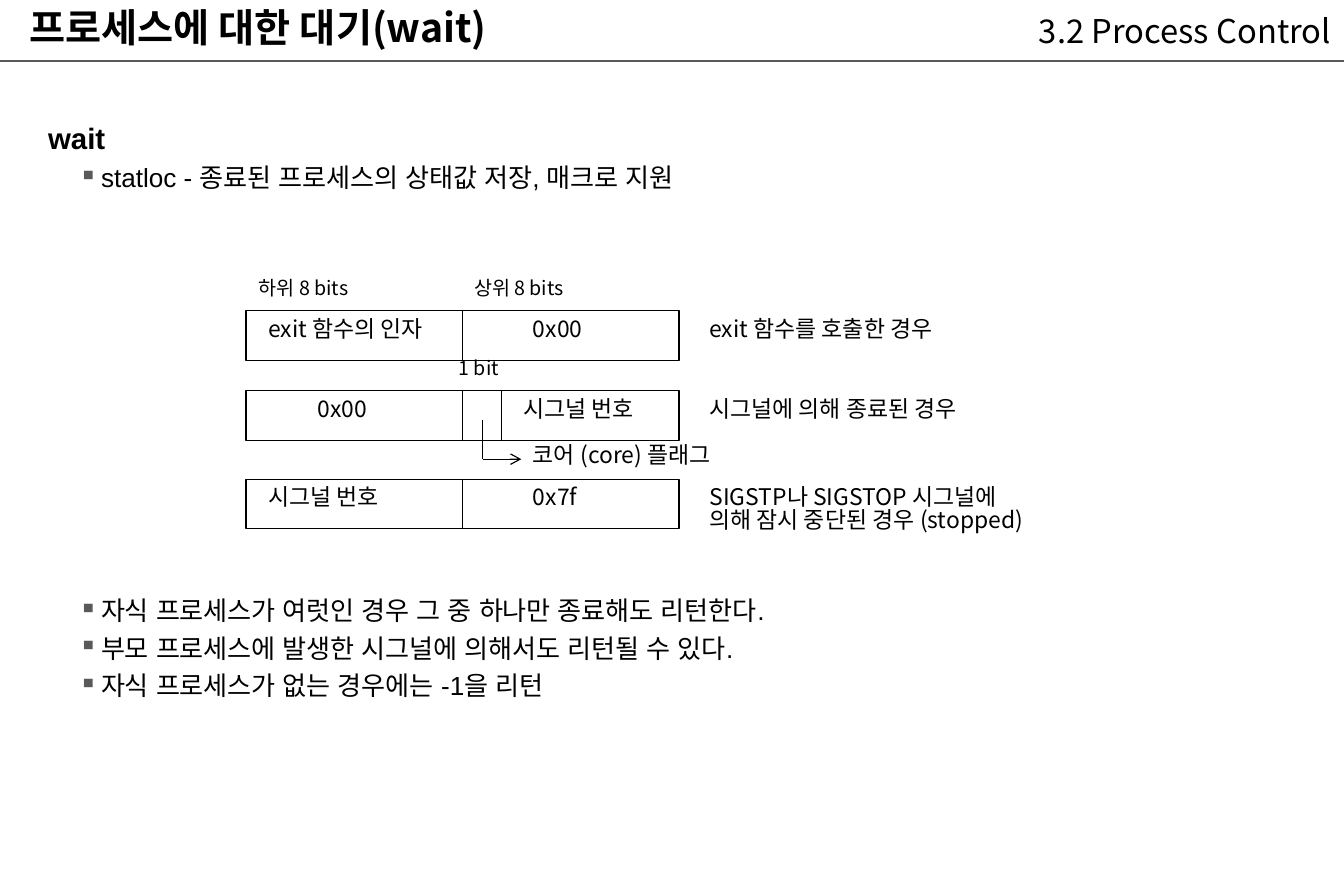
import pptx
import pptx.dml.color
import pptx.enum.shapes
import pptx.enum.text
import pptx.oxml
import pptx.oxml.ns
import pptx.util
from dataclasses import dataclass

PX = 9144  # EMU per px, 100 px to the inch
ALIGN = pptx.enum.text.PP_ALIGN


@dataclass(frozen=True)
class Theme:
    ink: str = "000000"
    grey: str = "595959"
    sans: str = "Arial"
    korean: str = "Noto Sans CJK KR"
    title: int = 24
    section: int = 20
    heading: int = 18
    bullet: int = 16
    label: int = 14
    small: int = 12
    tight: float = 0.84
    body: float = 0.99
    thin: float = 0.75
    rule: float = 1.5


def px(value):
    return pptx.util.Emu(value * PX)


def color(code):
    return pptx.dml.color.RGBColor.from_string(code)


def element(tag, **attributes):
    item = pptx.oxml.parse_xml(f"<a:{tag} {pptx.oxml.ns.nsdecls('a')}/>")
    for key, value in attributes.items():
        item.set(key, str(value))
    return item


class SlideBuilder:
    def __init__(self, slide, theme):
        self.slide, self.theme = slide, theme

    def style(self, paragraph, size, font, spacing, bold=False):
        paragraph.line_spacing = spacing
        for run in paragraph.runs:
            run.font.size = pptx.util.Pt(size)
            run.font.bold = bold
            run.font.color.rgb = color(self.theme.ink)
            run.font.name = font
            run.font._element.append(element("ea", typeface=font))

    def fill_text(self, shape, text, size, align=ALIGN.LEFT, bold=False):
        frame = shape.text_frame
        frame.text = text
        frame.word_wrap = True
        frame.vertical_anchor = pptx.enum.text.MSO_ANCHOR.TOP
        for paragraph in frame.paragraphs:
            paragraph.alignment = align
            self.style(paragraph, size, self.theme.korean, self.theme.tight, bold)

    def title(self, left, top, width, height, text):
        shape = self.slide.shapes.title
        shape.left, shape.top, shape.width, shape.height = map(px, (left, top, width, height))
        self.fill_text(shape, text, self.theme.title, bold=True)

    def label(self, left, top, width, height, text, size=None, align=ALIGN.LEFT):
        shape = self.slide.shapes.add_textbox(*map(px, (left, top, width, height)))
        self.fill_text(shape, text, size or self.theme.label, align)
        return shape

    def outline(self, left, top, width, height, bullets, heading=None):
        theme = self.theme
        frame = self.slide.shapes.add_textbox(*map(px, (left, top, width, height))).text_frame
        frame.word_wrap = True
        lines = ([heading] if heading else []) + bullets
        frame.text = "\n".join(lines)
        for index, paragraph in enumerate(frame.paragraphs):
            is_heading = bool(heading) and index == 0
            props = paragraph._p.get_or_add_pPr()
            if is_heading:
                props.set("marL", str(px(14)))
            else:
                props.set("marL", str(px(59)))
                props.set("indent", str(px(-19)))
                bullet_color = element("buClr")
                bullet_color.append(element("srgbClr", val=theme.grey))
                props.append(bullet_color)
                props.append(element("buChar", char="▪"))
            if index:
                paragraph.space_before = pptx.util.Pt(4)
            size = theme.heading if is_heading else theme.bullet
            self.style(paragraph, size, theme.sans, theme.body, is_heading)

    def box(self, left, top, width, height):
        shape = self.slide.shapes.add_shape(
            pptx.enum.shapes.MSO_SHAPE.RECTANGLE, *map(px, (left, top, width, height)))
        shape.shadow.inherit = False
        shape.fill.background()
        shape.line.color.rgb = color(self.theme.ink)
        shape.line.width = pptx.util.Pt(self.theme.thin)
        return shape

    def line(self, x1, y1, x2, y2, stroke=None, weight=None, arrow=False):
        connector = self.slide.shapes.add_connector(
            pptx.enum.shapes.MSO_CONNECTOR.STRAIGHT, *map(px, (x1, y1, x2, y2)))
        connector.line.color.rgb = color(stroke or self.theme.ink)
        connector.line.width = pptx.util.Pt(weight or self.theme.thin)
        if arrow:
            connector.line._get_or_add_ln().append(element("tailEnd", type="arrow"))
        connector._element.spPr.append(element("effectLst"))
        return connector


def main():
    theme = Theme()
    deck = pptx.Presentation()
    deck.slide_width, deck.slide_height = px(1142), px(750)
    page = SlideBuilder(deck.slides.add_slide(deck.slide_layouts[5]), theme)

    # Header
    page.line(0, 52, 1142, 52, theme.grey, theme.rule)
    page.title(15, 4, 700, 69, "프로세스에 대한 대기(wait)")
    page.label(720, 10, 421, 52, "3.2 Process Control", theme.section, ALIGN.RIGHT)

    # Explanations above and below the diagram
    page.outline(17, 98, 1108, 75, ["statloc - 종료된 프로세스의 상태값 저장, 매크로 지원"], "wait")
    page.outline(17, 501, 1108, 110, [
        "자식 프로세스가 여럿인 경우 그 중 하나만 종료해도 리턴한다.",
        "부모 프로세스에 발생한 시그널에 의해서도 리턴될 수 있다.",
        "자식 프로세스가 없는 경우에는 -1을 리턴",
    ])

    # Status words: top, (low byte, left), (high byte, left), case
    left, width, height = 209, 368, 42
    middle = left + width // 2
    status_words = [
        (264, ("exit 함수의 인자", 218), ("0x00", 443), "exit 함수를 호출한 경우"),
        (332, ("0x00", 260), ("시그널 번호", 435), "시그널에 의해 종료된 경우"),
        (407, ("시그널 번호", 218), ("0x7f", 443),
         "SIGSTP나 SIGSTOP 시그널에\n의해 잠시 중단된 경우 (stopped)"),
    ]
    for top, low_byte, high_byte, case in status_words:
        word = page.box(left, top, width, height)
        divider = page.line(middle, top, middle, top + height)
        divider.begin_connect(word, 0)
        divider.end_connect(word, 2)
        for value, value_left in (low_byte, high_byte):
            page.label(value_left, top + 2, 170 if value_left < 250 else 130, 34, value)
        page.label(593, top + 2, 330, 34 + 24 * case.count("\n"), case)

    # Bit widths
    for name, name_left, name_top in (("하위 8 bits", 210, 233),
                                      ("상위 8 bits", 393, 233), ("1 bit", 380, 301)):
        page.label(name_left, name_top, 110, 30, name, theme.small)

    # Core flag bit and its pointer
    page.line(426, 332, 426, 332 + height)
    core_flag = page.label(443, 373, 195, 34, "코어 (core) 플래그")
    page.line(410, 357, 410, 390)
    pointer = page.line(410, 390, 443, 390, arrow=True)
    pointer.end_connect(core_flag, 1)

    deck.save("out.pptx")


if __name__ == "__main__":
    main()
